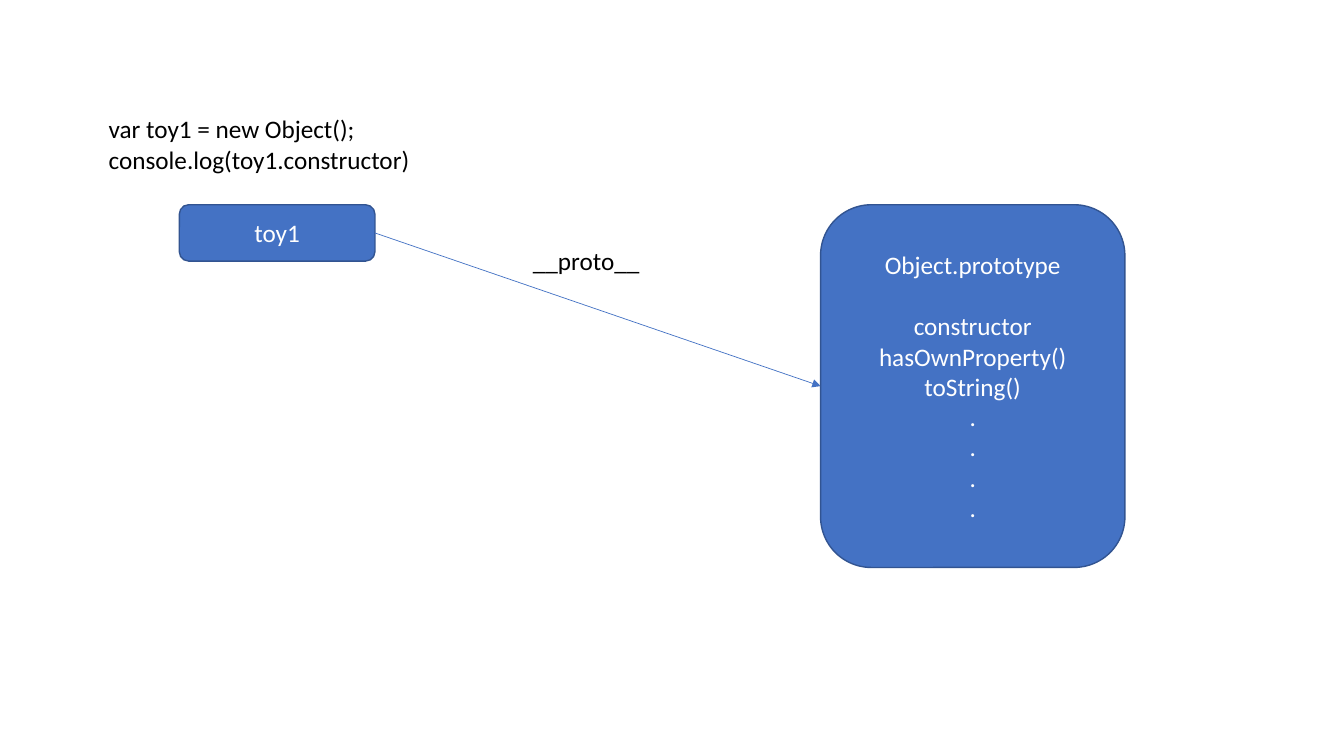
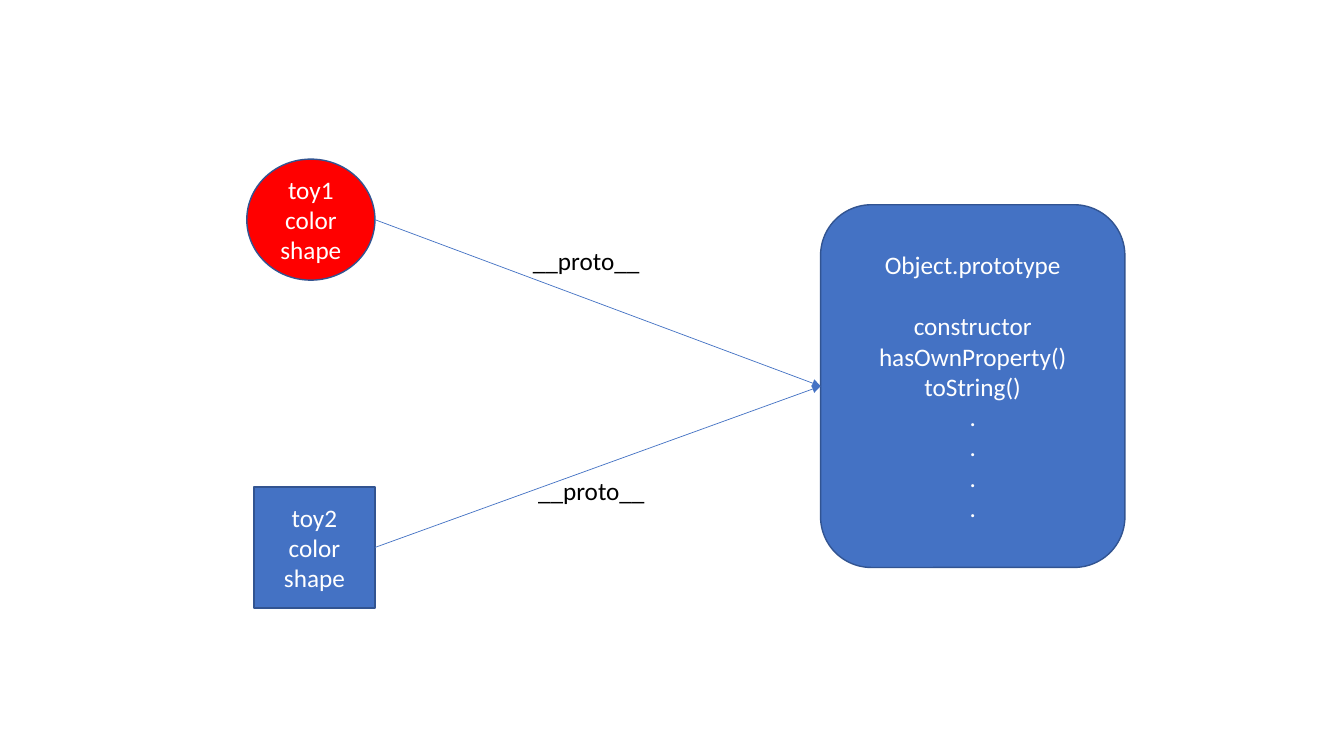
import pptx
import pptx.dml.color
import pptx.enum.shapes
import pptx.enum.text
import pptx.util
from lxml import etree
from pptx.oxml.ns import qn

Cm = pptx.util.Cm
Pt = pptx.util.Pt
SHAPES = pptx.enum.shapes.MSO_SHAPE

COLOURS = {
    "blue": "4472C4",
    "outline": "325491",
    "red": "FF0000",
    "white": "FFFFFF",
    "black": "000000",
}
FONT = "Calibri"
TEXT_SIZE = 18
HEADING_GAP = 22

PROTOTYPE_HEADING = "Object.prototype"
PROTOTYPE_MEMBERS = ["constructor", "hasOwnProperty()", "toString()", ".", ".", ".", "."]
PROTOTYPE_BOX = (20.68, 5.16, 7.67, 9.14)
LINK_LABEL = "__proto__"
LABEL_SIZE = (3.23, 1.02)
TOY_RIGHT = 9.45

SLIDES = [
    {
        "code": ["var toy1 = new Object();", "console.log(toy1.constructor)"],
        "toys": [
            {"lines": ["toy1"], "kind": SHAPES.ROUNDED_RECTANGLE, "fill": "blue",
             "top": 5.16, "size": (4.93, 1.42), "label_at": (13.18, 6.05)},
        ],
    },
    {
        "code": [],
        "toys": [
            {"lines": ["toy1", "color", "shape"], "kind": SHAPES.OVAL, "fill": "red",
             "top": 4.01, "size": (3.23, 3.05), "label_at": (13.18, 6.05)},
            {"lines": ["toy2", "color", "shape"], "kind": SHAPES.RECTANGLE, "fill": "blue",
             "top": 12.27, "size": (3.05, 3.05), "label_at": (13.31, 11.86)},
        ],
    },
]
CODE_BOX = (2.49, 2.74, 8.2, 1.8)


def colour(name):
    return pptx.dml.color.RGBColor.from_string(COLOURS[name])


def write_lines(text_frame, lines, colour_name, alignment):
    text_frame.text = "\n".join(lines)
    for paragraph in text_frame.paragraphs:
        paragraph.alignment = alignment
        paragraph.font.name = FONT
        paragraph.font.size = Pt(TEXT_SIZE)
        paragraph.font.color.rgb = colour(colour_name)


def add_box(slide, kind, box, fill, lines):
    shape = slide.shapes.add_shape(kind, *map(Cm, box))
    shape.shadow.inherit = False
    shape.fill.solid()
    shape.fill.fore_color.rgb = colour(fill)
    shape.line.color.rgb = colour("outline")
    shape.line.width = Pt(1)
    shape.text_frame.vertical_anchor = pptx.enum.text.MSO_ANCHOR.MIDDLE
    write_lines(shape.text_frame, lines, "white", pptx.enum.text.PP_ALIGN.CENTER)
    return shape


def add_text(slide, box, lines):
    text_frame = slide.shapes.add_textbox(*map(Cm, box)).text_frame
    text_frame.word_wrap = False
    text_frame.auto_size = pptx.enum.text.MSO_AUTO_SIZE.SHAPE_TO_FIT_TEXT
    write_lines(text_frame, lines, "black", pptx.enum.text.PP_ALIGN.LEFT)


def add_arrow(slide, source, target, join_source):
    connector = slide.shapes.add_connector(
        pptx.enum.shapes.MSO_CONNECTOR.STRAIGHT,
        source.left + source.width, source.top + source.height // 2,
        target.left, target.top + target.height // 2)
    if join_source:
        connector.begin_connect(source, 3)
    connector.end_connect(target, 1)
    connector.line.color.rgb = colour("blue")
    connector.line.width = Pt(0.5)
    line = connector.line._get_or_add_ln()
    etree.SubElement(line, qn("a:tailEnd"), type="triangle")
    etree.SubElement(connector._element.spPr, qn("a:effectLst"))


def add_prototype(slide):
    prototype = add_box(slide, SHAPES.ROUNDED_RECTANGLE, PROTOTYPE_BOX, "blue",
                        [PROTOTYPE_HEADING] + PROTOTYPE_MEMBERS)
    prototype.text_frame.paragraphs[0].space_after = Pt(HEADING_GAP)
    return prototype


def add_toy(slide, toy, prototype):
    width, height = toy["size"]
    box = (TOY_RIGHT - width, toy["top"], width, height)
    shape = add_box(slide, toy["kind"], box, toy["fill"], toy["lines"])
    add_arrow(slide, shape, prototype, toy["kind"] != SHAPES.OVAL)
    add_text(slide, toy["label_at"] + LABEL_SIZE, [LINK_LABEL])


def main():
    presentation = pptx.Presentation()
    presentation.slide_width = Cm(33.87)
    presentation.slide_height = Cm(19.05)
    for content in SLIDES:
        slide = presentation.slides.add_slide(presentation.slide_layouts[6])
        prototype = add_prototype(slide)
        if content["code"]:
            add_text(slide, CODE_BOX, content["code"])
        for toy in content["toys"]:
            add_toy(slide, toy, prototype)
    presentation.save("out.pptx")


if __name__ == "__main__":
    main()
